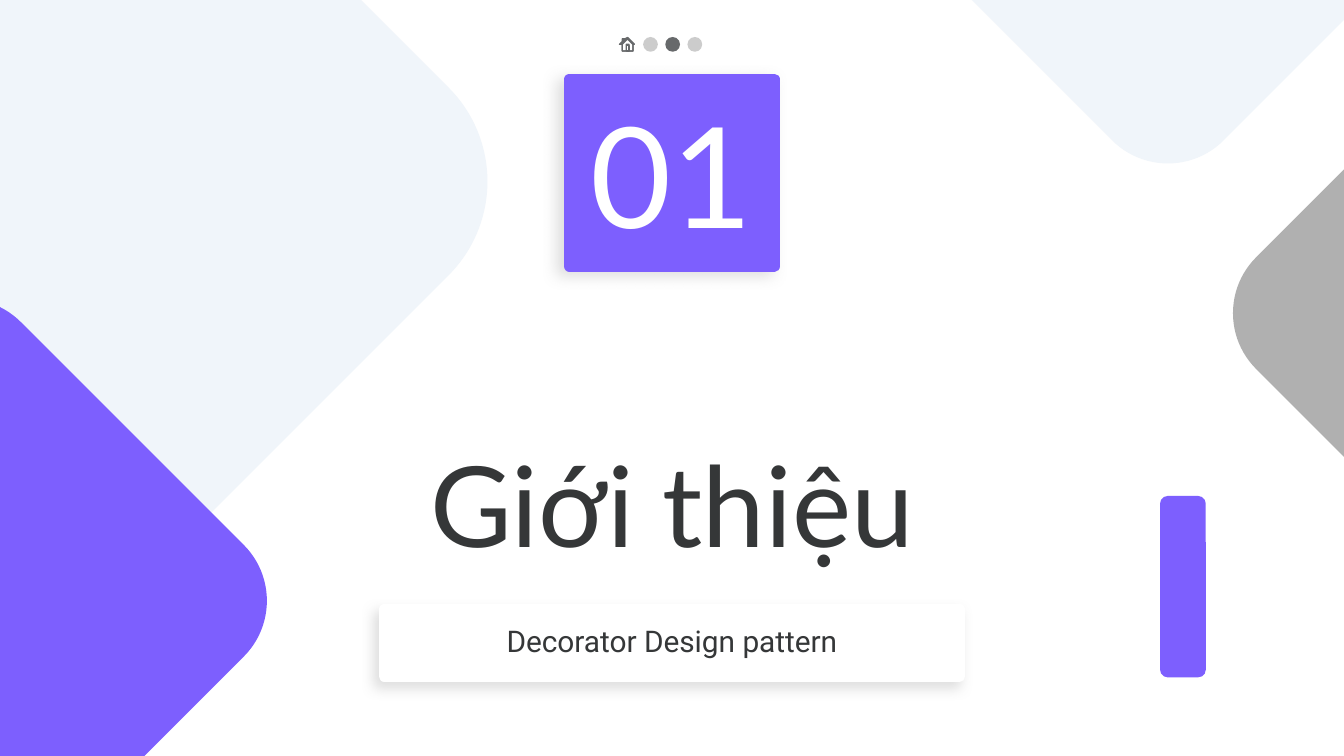
from pptx import Presentation
from pptx.dml.color import RGBColor
from pptx.enum.shapes import MSO_SHAPE as Shape
from pptx.enum.text import MSO_ANCHOR as Anchor, PP_ALIGN as Align
from pptx.oxml.ns import qn
from pptx.util import Inches, Pt
from lxml.etree import SubElement

COLORS = {
    "violet": "7D5FFE",
    "mist": "F0F5FA",
    "silver": "B0B0B0",
    "slate": "67696B",
    "ink": "353738",
    "white": "FFFFFF",
}
CELL = Inches(0.1)
COLUMNS, ROWS = 100, 56.25

DIAMONDS = [
    (69.3, -27.9, 35.2, "mist"),
    (-31.1, -16.1, 59.2, "mist"),
    (-20.2, 27.1, 35.2, "violet"),
    (96.6, 5.7, 35.2, "silver"),
]
HOUSE = [
    [(0, 5), (2, 3), (2, 1), (4, 1), (6, 0), (11, 5), (10, 5.4),
     (10, 10), (2, 10), (2, 5.4)],
    [(6, 1), (9.6, 4.8), (9.6, 9.6), (7.4, 9.6), (7.4, 5.4), (4.6, 5.4),
     (4.6, 9.6), (2.4, 9.6), (2.4, 4.8)],
    [(5, 5.8), (7, 5.8), (7, 9.6), (5, 9.6)],
]


def cells(*lengths):
    return [round(length * CELL) for length in lengths]


def color(name):
    return RGBColor.from_string(COLORS[name])


def paint(shape, fill, line=None, width=0):
    shape.shadow.inherit = False
    shape.fill.solid()
    shape.fill.fore_color.rgb = color(fill)
    if line:
        shape.line.color.rgb = color(line)
        shape.line.width = Pt(width)
    else:
        shape.line.fill.background()


def add_block(page, kind, area, fill, **style):
    block = page.shapes.add_shape(kind, *cells(*area))
    paint(block, fill, **style)
    return block


def add_diamond(page, left, top, side, fill):
    diamond = add_block(page, Shape.ROUNDED_RECTANGLE, (left, top, side, side), fill)
    diamond.rotation = 315


def add_dot(page, left, fill, opacity=100):
    dot = add_block(page, Shape.OVAL, (left, 2.75, 1.1, 1.1), fill)
    if opacity < 100:
        tint = dot.element.spPr.find(qn("a:solidFill"))[0]
        SubElement(tint, qn("a:alpha"), val=str(opacity * 1000))


def add_house(page, left, top):
    unit = CELL / 10
    origin_x, origin_y = cells(left, top)
    first, *others = HOUSE
    builder = page.shapes.build_freeform(*first[0], scale=unit)
    builder.add_line_segments(first[1:], close=True)
    for outline in others:
        builder.move_to(*outline[0])
        builder.add_line_segments(outline[1:], close=True)
    house = builder.convert_to_shape(origin_x, origin_y)
    paint(house, "slate", line="slate", width=0.75)


def add_shadow(card, blur, angle):
    properties = card.element.spPr
    SubElement(properties.find(qn("a:ln")), qn("a:round"))
    shadow = SubElement(
        properties.find(qn("a:effectLst")), qn("a:outerShdw"),
        blurRad=str(Pt(blur)), dist=str(Pt(4.5)), dir=str(angle * 60000),
        algn="bl", rotWithShape="0")
    tint = SubElement(shadow, qn("a:srgbClr"), val=COLORS["silver"])
    SubElement(tint, qn("a:alpha"), val="40000")


def write(box, text, anchor, size, font, ink):
    frame = box.text_frame
    layout = {"word_wrap": True, "vertical_anchor": anchor}
    layout.update({f"margin_{side}": CELL for side in ("left", "top", "right", "bottom")})
    for name, value in layout.items():
        setattr(frame, name, value)
    para = frame.paragraphs[0]
    para.alignment = Align.CENTER
    span = para.add_run()
    span.text = text
    for name, value in {"size": Pt(size), "name": font, "bold": False}.items():
        setattr(span.font, name, value)
    span.font.color.rgb = color(ink)


def add_card(page, area, fill, blur, angle, *text):
    card = add_block(page, Shape.RECTANGLE, area, fill, line=fill, width=6)
    add_shadow(card, blur, angle)
    write(card, *text)


def main():
    deck = Presentation()
    deck.slide_width, deck.slide_height = cells(COLUMNS, ROWS)
    page = deck.slides.add_slide(deck.slide_layouts[6])

    for diamond in DIAMONDS:
        add_diamond(page, *diamond)

    title = page.shapes.add_textbox(*cells(25.8, 21.7, 48.4, 21.7))
    write(title, "Giới thiệu", Anchor.BOTTOM, 60, "Lato", "ink")
    add_card(page, (42.37, 5.9, 15.26, 13.9), "violet", 7.9, 150,
             "01", Anchor.MIDDLE, 75, "Lato", "white")
    add_card(page, (28.6, 45.33, 42.8, 5), "white", 6.8, 130,
             "Decorator Design pattern", Anchor.TOP, 16, "Roboto", "ink")

    add_block(page, Shape.ROUNDED_RECTANGLE, (86.32, 36.9, 3.4, 13.5), "violet")
    for step, dot in enumerate([("silver", 64), ("slate",), ("silver", 64)]):
        add_dot(page, 47.85 + 1.65 * step, *dot)
    add_house(page, 46.1, 2.8)

    deck.save("out.pptx")


if __name__ == "__main__":
    main()
